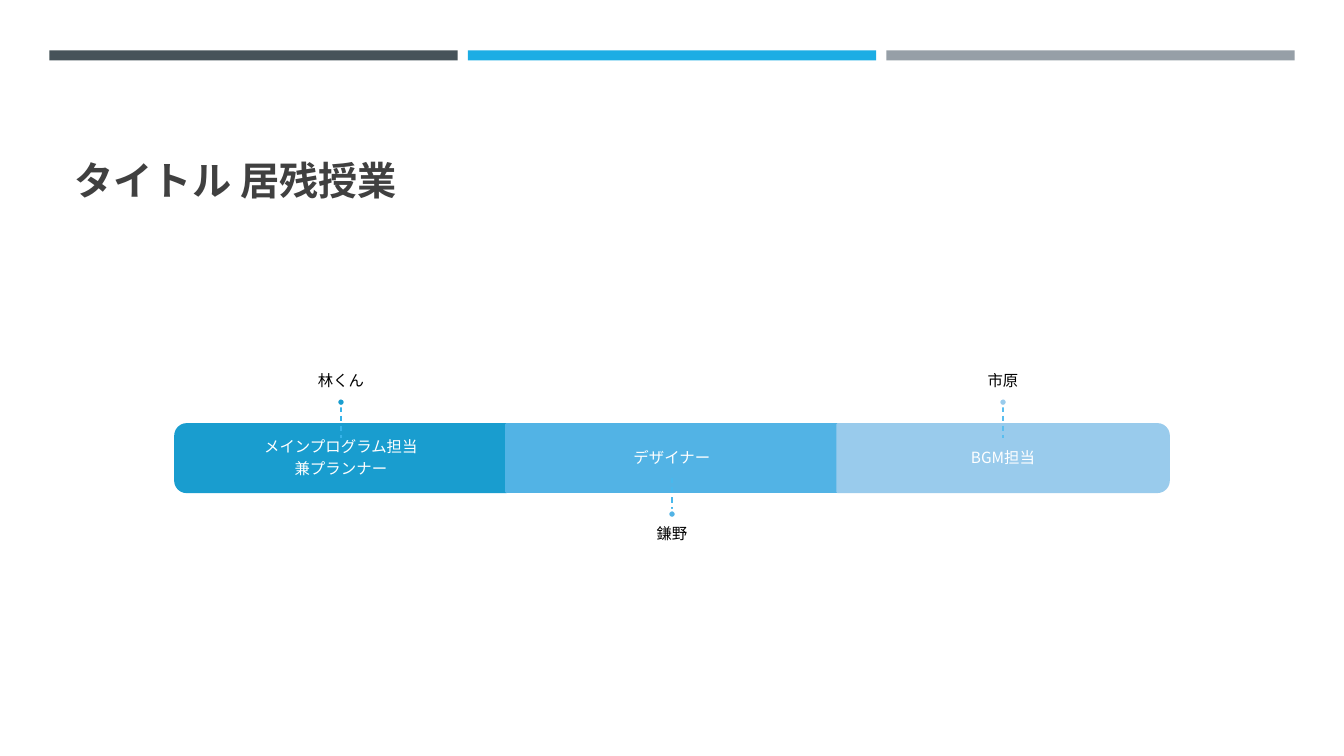
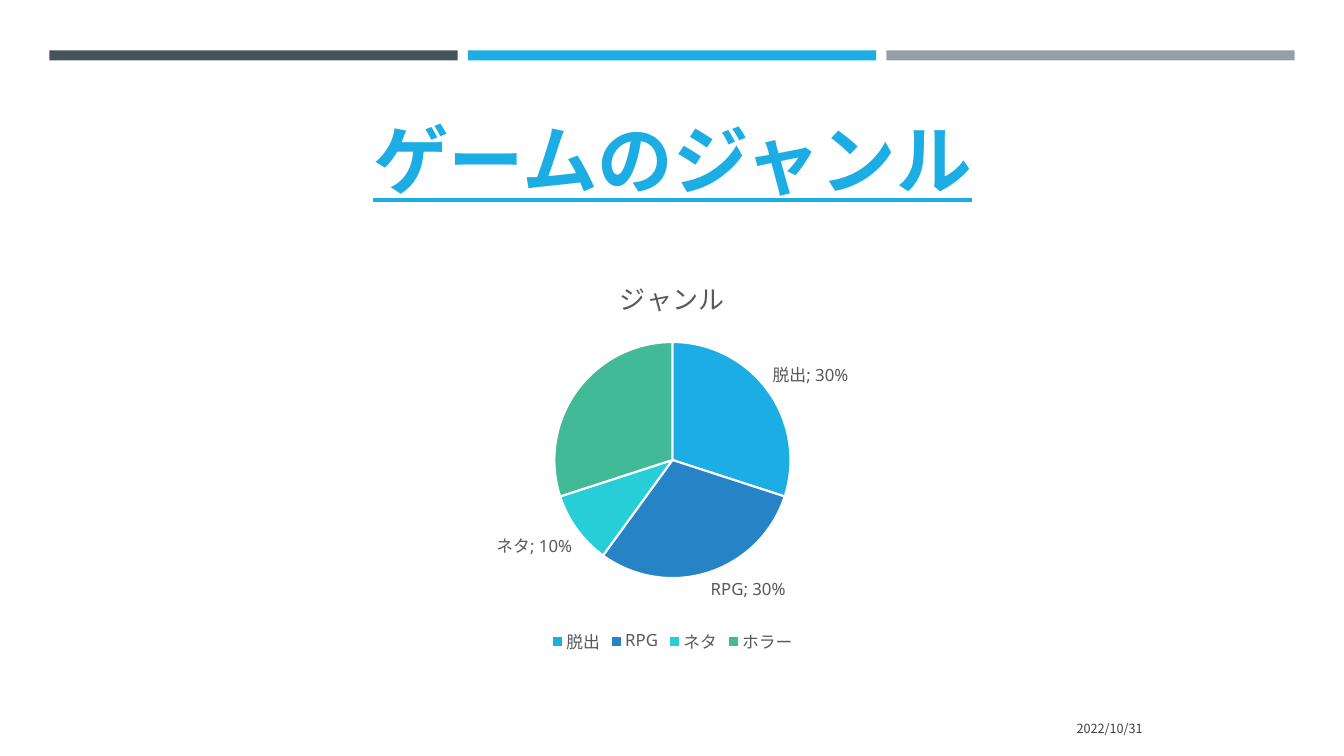
from dataclasses import dataclass

from lxml import etree
from pptx import Presentation
from pptx.chart import data as chart_data
from pptx.dml import color
from pptx.enum import chart as chart_enum, dml, shapes, text
from pptx.oxml import ns
from pptx.util import Inches, Pt

JAPANESE_FONT, CHART_FONT = "Noto Sans CJK JP", "Noto Sans"
WHITE, BLACK, INK, GREY, ACCENT = "FFFFFF", "000000", "404040", "595959", "1CADE4"
BAND_COLORS = ("465359", ACCENT, "969FA7")
GENRES = {"脱出": (30, ACCENT), "RPG": (30, "2683C6"), "ネタ": (10, "27CED7"), "ホラー": (30, "42BA97")}
UNLABELLED_GENRE = "ホラー"
DOT_SIZE = 0.08
MEMBER_WIDTH, MEMBER_HEIGHT = 5.48, 1.39


@dataclass
class Box:
    """A rectangle in inches."""
    left: float
    top: float
    width: float
    height: float

    def lengths(self):
        """Return the four measures as lengths."""
        return [Inches(v) for v in (self.left, self.top, self.width, self.height)]

    def turned(self):
        """Return the box with its sides swapped about the same centre."""
        shift = (self.width - self.height) / 2
        return Box(self.left + shift, self.top - shift, self.height, self.width)


@dataclass
class Role:
    """One segment of the team bar."""
    duties: tuple
    member: str
    fill: str
    leader: str
    above: bool = True
    rotation: int = 0


ROLES = (
    Role(("メインプログラム担当", "兼プランナー"), "林くん", "199DCF", "36B3E9", rotation=270),
    Role(("デザイナー",), "鎌野", "52B3E5", "48B8EC", above=False),
    Role(("BGM担当",), "市原", "99CBEC", "5ABEEF", rotation=90),
)
TITLE_BOX = Box(0.64, 0.77, 12.06, 1.3)
TEAM_BOX = Box(1.74, 4.21, 9.85, 0.67)
CHART_BOX = Box(0.64, 2.56, 12.06, 3.97)
DATE_BOX = Box(8.32, 7.03, 3.11, 0.4)


def rgb(value):
    """Turn a hex string into a colour."""
    return color.RGBColor.from_string(value)


def style_font(font, size, value, name=CHART_FONT, bold=False):
    """Set the size, colour, face and weight of a font."""
    font.size, font.name, font.bold = Pt(size), name, bold
    font.color.rgb = rgb(value)


def format_text(shape, size, value, align, bold=False, underline=False):
    """Format every run of a shape in the Japanese face."""
    for para in shape.text_frame.paragraphs:
        para.alignment = align
        for span in para.runs:
            style_font(span.font, size, value, JAPANESE_FONT, bold)
            span.font.underline = underline
    for latin in shape.element.findall(".//" + ns.qn("a:latin")):
        latin.addnext(etree.Element(ns.qn("a:ea"), typeface=JAPANESE_FONT))


def add_figure(page, kind, box, fill, line=None):
    """Add a filled preset shape."""
    figure = page.shapes.add_shape(kind, *box.lengths())
    figure.shadow.inherit = False
    figure.fill.solid()
    figure.fill.fore_color.rgb = rgb(fill)
    if line:
        figure.line.color.rgb = rgb(line)
        figure.line.width = Pt(1.75)
    else:
        figure.line.fill.background()
    return figure


def add_label(page, box, lines, size, value, align, anchor=text.MSO_ANCHOR.MIDDLE):
    """Add a text box with one paragraph for each line."""
    label = page.shapes.add_textbox(*box.lengths())
    frame = label.text_frame
    frame.word_wrap = True
    frame.vertical_anchor = anchor
    frame.text = "\n".join(lines)
    format_text(label, size, value, align)
    return frame


def add_caption(page, box, lines, value, anchor):
    """Add a tight centred caption of the team bar."""
    frame = add_label(page, box, lines, 11, value, text.PP_ALIGN.CENTER, anchor)
    frame.margin_left = frame.margin_right = 0
    frame.margin_top = frame.margin_bottom = Inches(0.09)
    for para in frame.paragraphs:
        para.line_spacing = 0.9
    for para in frame.paragraphs[:-1]:
        para.space_after = Pt(3.85)


def add_master_bands(deck, page):
    """Place the three top bands on the slide master."""
    for index, fill in enumerate(BAND_COLORS):
        box = Box(0.49 + index * 4.15, 0.5, 4.05, 0.1)
        band = add_figure(page, shapes.MSO_SHAPE.RECTANGLE, box, fill)
        band.element.find(".//" + ns.qn("p:cNvPr")).set("id", str(20 + index))
        deck.slide_master.shapes.element.append(band.element)


def add_title(page, wording, size, value, align=text.PP_ALIGN.LEFT, underline=False):
    """Fill and place the title placeholder."""
    title = page.shapes.title
    title.left, title.top, title.width, title.height = TITLE_BOX.lengths()
    frame = title.text_frame
    frame.text = wording
    frame.auto_size = text.MSO_AUTO_SIZE.NONE
    frame.vertical_anchor = text.MSO_ANCHOR.BOTTOM
    format_text(title, size, value, align, True, underline)


def add_segment(page, box, role):
    """Draw one segment of the bar with its duties."""
    if role.rotation:
        kind, outline = shapes.MSO_SHAPE.ROUND_2_SAME_RECTANGLE, box.turned()
    else:
        kind, outline = shapes.MSO_SHAPE.RECTANGLE, box
    segment = add_figure(page, kind, outline, role.fill, role.fill)
    segment.rotation = role.rotation
    add_caption(page, box, role.duties, WHITE, text.MSO_ANCHOR.MIDDLE)


def add_leader(page, center, start, end, value):
    """Draw a vertical dashed line."""
    leader = page.shapes.add_connector(shapes.MSO_CONNECTOR.STRAIGHT, Inches(center),
                                       Inches(start), Inches(center), Inches(end))
    leader.line.color.rgb = rgb(value)
    leader.line.width = Pt(1)
    leader.line.dash_style = dml.MSO_LINE.DASH
    etree.SubElement(leader.element.spPr, ns.qn("a:effectLst"))


def add_member(page, box, role):
    """Name the member and lead a dashed line to the segment."""
    center = box.left + box.width / 2
    if role.above:
        dot_top = box.top - 0.26
        leader_top = dot_top + DOT_SIZE
        label_top, anchor = dot_top - MEMBER_HEIGHT, text.MSO_ANCHOR.BOTTOM
    else:
        dot_top = box.top + box.height + 0.18
        leader_top = dot_top - 0.32
        label_top, anchor = dot_top + DOT_SIZE, text.MSO_ANCHOR.TOP
    label = Box(center - MEMBER_WIDTH / 2, label_top, MEMBER_WIDTH, MEMBER_HEIGHT)
    dot = Box(center - DOT_SIZE / 2, dot_top, DOT_SIZE, DOT_SIZE)
    add_caption(page, label, (role.member,), BLACK, anchor)
    add_leader(page, center, leader_top, leader_top + 0.32, role.leader)
    add_figure(page, shapes.MSO_SHAPE.OVAL, dot, role.fill, WHITE)


def add_team_bar(page, box):
    """Split the box into one segment for each role."""
    width = box.width / len(ROLES)
    for index, role in enumerate(ROLES):
        part = Box(box.left + index * width, box.top, width, box.height)
        add_segment(page, part, role)
        add_member(page, part, role)


def chart_element(tag, **attributes):
    """Make a chart element with its attributes."""
    return etree.Element(ns.qn("c:" + tag), **attributes)


def set_plot_layout(chart, box):
    """Fix the inner plot area as fractions of the chart."""
    area = chart.element.find(".//" + ns.qn("c:plotArea"))
    for automatic in area.findall(ns.qn("c:layout")):
        area.remove(automatic)
    layout, manual = chart_element("layout"), chart_element("manualLayout")
    settings = {"layoutTarget": "inner", "xMode": "edge", "yMode": "edge",
                "x": box.left, "y": box.top, "w": box.width, "h": box.height}
    for tag, value in settings.items():
        manual.append(chart_element(tag, val=str(value)))
    layout.append(manual)
    area.insert(0, layout)


def color_slices(series):
    """Give each slice its genre colour and a white edge."""
    for index, (_, fill) in enumerate(GENRES.values()):
        look = series.points[index].format
        look.fill.solid()
        look.fill.fore_color.rgb = rgb(fill)
        look.line.color.rgb = rgb(WHITE)
        look.line.width = Pt(1.5)


def label_slices(chart, series):
    """Show category and percentage outside all slices but one."""
    labels = series.data_labels
    labels.show_value = False
    labels.show_category_name = labels.show_percentage = True
    labels.number_format, labels.number_format_is_linked = "0%", False
    labels.position = chart_enum.XL_LABEL_POSITION.OUTSIDE_END
    style_font(labels.font, 12, GREY)

    group = chart.element.find(".//" + ns.qn("c:dLbls"))
    separator = chart_element("separator")
    separator.text = "; "
    group.find(ns.qn("c:showBubbleSize")).addnext(separator)
    unlabelled = chart_element("dLbl")
    unlabelled.append(chart_element("idx", val=str(list(GENRES).index(UNLABELLED_GENRE))))
    unlabelled.append(chart_element("delete", val="1"))
    group.insert(0, unlabelled)


def add_genre_chart(page, box):
    """Draw the genre shares as a pie."""
    source = chart_data.CategoryChartData()
    source.categories = list(GENRES)
    source.add_series("ジャンル", [share for share, _ in GENRES.values()])
    chart = page.shapes.add_chart(chart_enum.XL_CHART_TYPE.PIE, *box.lengths(), source).chart
    style_font(chart.font, 10, BLACK)
    chart.has_title = True
    heading = chart.chart_title.text_frame
    heading.text = "ジャンル"
    style_font(heading.paragraphs[0].runs[0].font, 18.6, GREY)
    chart.has_legend = True
    chart.legend.position = chart_enum.XL_LEGEND_POSITION.BOTTOM
    chart.legend.include_in_layout = False
    style_font(chart.legend.font, 12, GREY)
    plot = chart.plots[0]
    plot.vary_by_categories = True
    color_slices(plot.series[0])
    label_slices(chart, plot.series[0])
    set_plot_layout(chart, Box(0.4, 0.21, 0.2, 0.59))


def build_team_slide(page):
    """Build the slide with the working title and the team."""
    add_title(page, "タイトル 居残授業", 28, INK)
    add_team_bar(page, TEAM_BOX)


def build_genre_slide(page):
    """Build the slide with the game genres."""
    add_title(page, "ゲームのジャンル", 54, ACCENT, text.PP_ALIGN.CENTER, True)
    add_genre_chart(page, CHART_BOX)
    add_label(page, DATE_BOX, ("2022/10/31",), 9, INK, text.PP_ALIGN.RIGHT)


def main():
    """Build and save the deck."""
    deck = Presentation()
    deck.slide_width, deck.slide_height = Inches(13.33), Inches(7.5)
    builders = (build_team_slide, build_genre_slide)
    pages = [deck.slides.add_slide(deck.slide_layouts[5]) for _ in builders]
    add_master_bands(deck, pages[0])
    for build, page in zip(builders, pages):
        build(page)
    deck.save("out.pptx")


if __name__ == "__main__":
    main()
